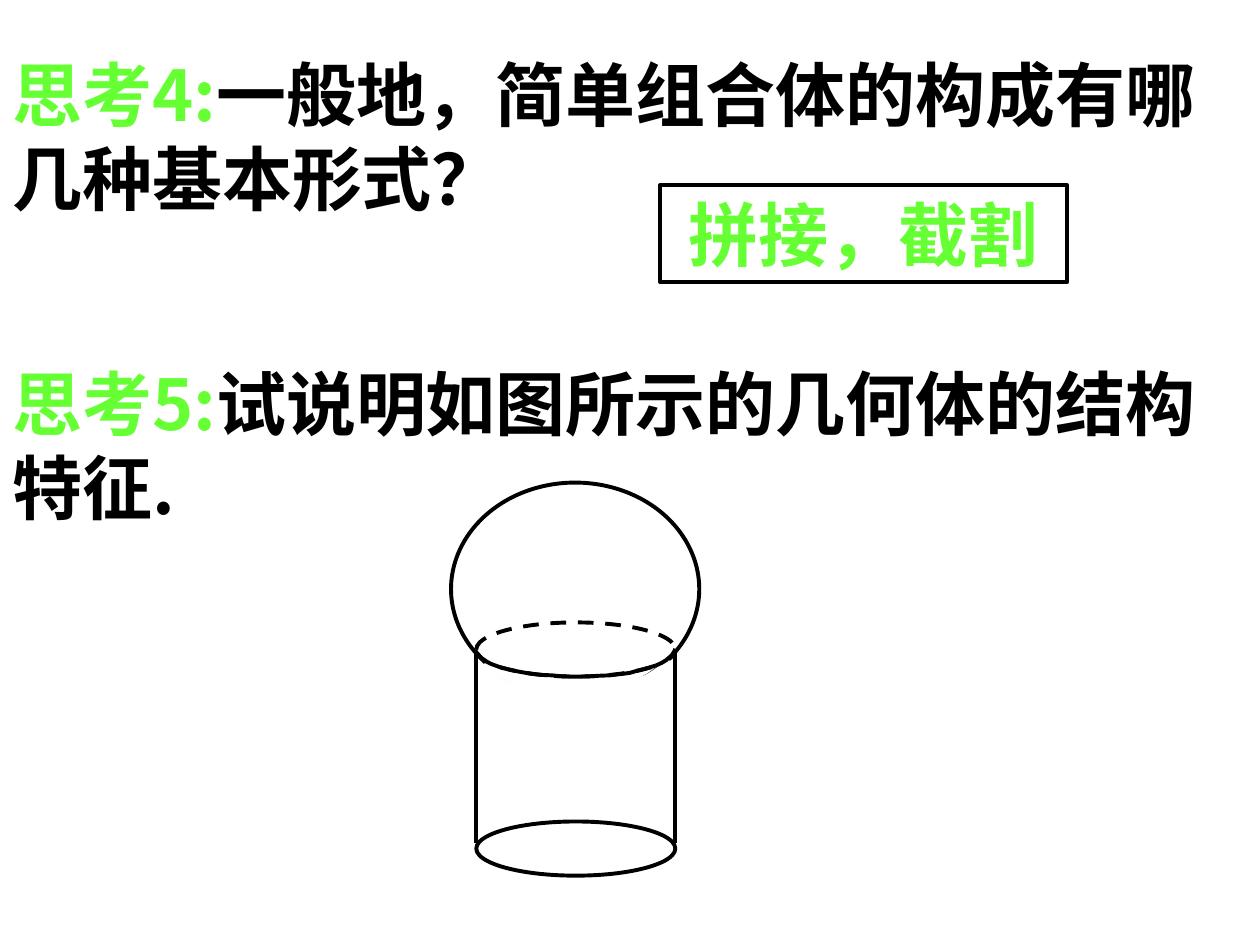
from dataclasses import dataclass

from lxml import etree
from pptx import Presentation
from pptx import util as u
from pptx.dml.color import RGBColor
from pptx.enum import dml, shapes, text
from pptx.oxml.ns import qn

BLACK = RGBColor(0x00, 0x00, 0x00)
WHITE = RGBColor(0xFF, 0xFF, 0xFF)
GREEN = RGBColor(0x66, 0xFF, 0x33)
FONT = "Noto Sans CJK SC"
THIN, THICK = 2.25, 4.5
STEPS = 3
CYL_LEFT, CYL_RIGHT = 272.16, 385.92


@dataclass(frozen=True)
class Box:
    x: float
    y: float
    w: float
    h: float


@dataclass(frozen=True)
class Run:
    words: str
    color: RGBColor
    font: str = FONT
    bold: bool = True


@dataclass(frozen=True)
class TextBlock:
    box: Box
    runs: tuple[Run, ...]
    framed: bool = False


@dataclass(frozen=True)
class Oval:
    box: Box
    dashed: bool = False


@dataclass(frozen=True)
class Curve:
    points: tuple[tuple[float, float], ...]
    color: RGBColor
    width: float


TEXTS = (
    TextBlock(Box(0, 25.92, 705.6, 103.68),
              (Run("思考4:", GREEN),
               Run("一般地，简单组合体的构成有哪几种基本形式？", BLACK))),
    TextBlock(Box(377.28, 105.84, 232.56, 55.44),
              (Run(" ", BLACK, "Arial", False),
               Run("拼接，截割", GREEN, "Arial")), framed=True),
    TextBlock(Box(0, 202.32, 705.6, 103.68),
              (Run("思考5:", GREEN),
               Run("试说明如图所示的几何体的结构特征.", BLACK))),
)
SPHERE = Oval(Box(257.76, 275.76, 141.84, 121.68))
TOP_RIM = Oval(Box(CYL_LEFT, 355.68, CYL_RIGHT - CYL_LEFT, 30.96), dashed=True)
BASE = Oval(Box(CYL_LEFT, 469.44, CYL_RIGHT - CYL_LEFT, 30.96))
SPHERE_MASK = Curve(
    ((277.2, 378.72), (280.08, 380.88), (292.32, 388.08), (298.08, 390.96),
     (304.56, 393.84), (307.44, 395), (313.92, 396.2),
     (321.12, 397.8), (331.92, 397.8), (339.12, 396.4),
     (347.04, 395.4), (354.96, 393.4), (360.72, 391.6),
     (366.48, 389.4), (370.08, 387.7), (373.68, 385.4),
     (377.28, 383.04), (381.6, 379.44), (383.04, 378)), WHITE, THICK)
FRONT_RIM = Curve(
    ((271.44, 371.52), (272.16, 372.96), (275.04, 376.56), (277.92, 378),
     (280.08, 379.44), (282.96, 380.16), (286.56, 381.6),
     (290.16, 382.32), (295.2, 383.76), (300.24, 384.48),
     (305.28, 385.2), (310.32, 385.92), (315.36, 385.92),
     (320.4, 386.64), (325.44, 386.64), (331.2, 386.64),
     (336.24, 386.64), (344.16, 385.92), (348.48, 385.92),
     (353.52, 385.2), (355.68, 385.2), (360, 384.48),
     (364.32, 383.04), (371.52, 381.6), (375.12, 380.16),
     (378.72, 378.72), (380.88, 377.28), (382.32, 375.84),
     (384.48, 374.4), (385.2, 372.24), (385.92, 370.8)), BLACK, THIN)


def set_line(sp, color: RGBColor, width: float) -> None:
    sp.line.color.rgb = color
    sp.line.width = u.Pt(width)


def add_preset(s, kind, box: Box):
    sp = s.shapes.add_shape(kind, *map(u.Pt, (box.x, box.y, box.w, box.h)))
    sp.shadow.inherit = False
    sp.fill.background()
    set_line(sp, BLACK, THIN)
    return sp


def add_text(s, block: TextBlock) -> None:
    b = block.box
    if block.framed:
        sp = add_preset(s, shapes.MSO_SHAPE.RECTANGLE, b)
    else:
        sp = s.shapes.add_textbox(*map(u.Pt, (b.x, b.y, b.w, b.h)))
    tf = sp.text_frame
    tf.word_wrap = True
    tf.auto_size = text.MSO_AUTO_SIZE.SHAPE_TO_FIT_TEXT
    tf.vertical_anchor = text.MSO_ANCHOR.TOP
    p = tf.paragraphs[0]
    p.alignment = text.PP_ALIGN.LEFT
    p.line_spacing = u.Pt(48)
    for run in block.runs:
        r = p.add_run()
        r.text = run.words
        r.font.size = u.Pt(40)
        r.font.bold = run.bold
        r.font.name = run.font
        r.font.color.rgb = run.color
        ea = etree.SubElement(r.font._element, qn("a:ea"))
        ea.set("typeface", FONT)


def add_oval(s, oval: Oval) -> None:
    sp = add_preset(s, shapes.MSO_SHAPE.OVAL, oval.box)
    if oval.dashed:
        sp.line.dash_style = dml.MSO_LINE.DASH


def bezier(a: float, b: float, c: float, d: float, t: float) -> float:
    v = 1 - t
    return a * v**3 + 3 * b * v * v * t + 3 * c * v * t * t + d * t**3


def add_curve(s, curve: Curve) -> None:
    pts = curve.points
    vertices = [
        tuple(u.Pt(bezier(*axis, step / STEPS)) for axis in zip(*pts[i:i + 4]))
        for i in range(0, len(pts) - 1, 3)
        for step in range(1, STEPS + 1)
    ]
    fb = s.shapes.build_freeform(*map(u.Pt, pts[0]))
    fb.add_line_segments(vertices, close=False)
    sp = fb.convert_to_shape()
    sp.shadow.inherit = False
    sp.fill.background()
    set_line(sp, curve.color, curve.width)


def add_side(s, x: float) -> None:
    sp = s.shapes.add_connector(shapes.MSO_CONNECTOR.STRAIGHT,
                                *map(u.Pt, (x, 481.68, x, 372.96)))
    set_line(sp, BLACK, THIN)
    etree.SubElement(sp._element.spPr, qn("a:effectLst"))


def main() -> None:
    prs = Presentation()
    prs.slide_width, prs.slide_height = u.Pt(720), u.Pt(540)
    s = prs.slides.add_slide(prs.slide_layouts[6])
    for block in TEXTS:
        add_text(s, block)
    add_oval(s, SPHERE)
    add_oval(s, TOP_RIM)
    add_curve(s, SPHERE_MASK)
    add_oval(s, BASE)
    for x in (CYL_LEFT, CYL_RIGHT):
        add_side(s, x)
    add_curve(s, FRONT_RIM)
    prs.save("out.pptx")


if __name__ == "__main__":
    main()
